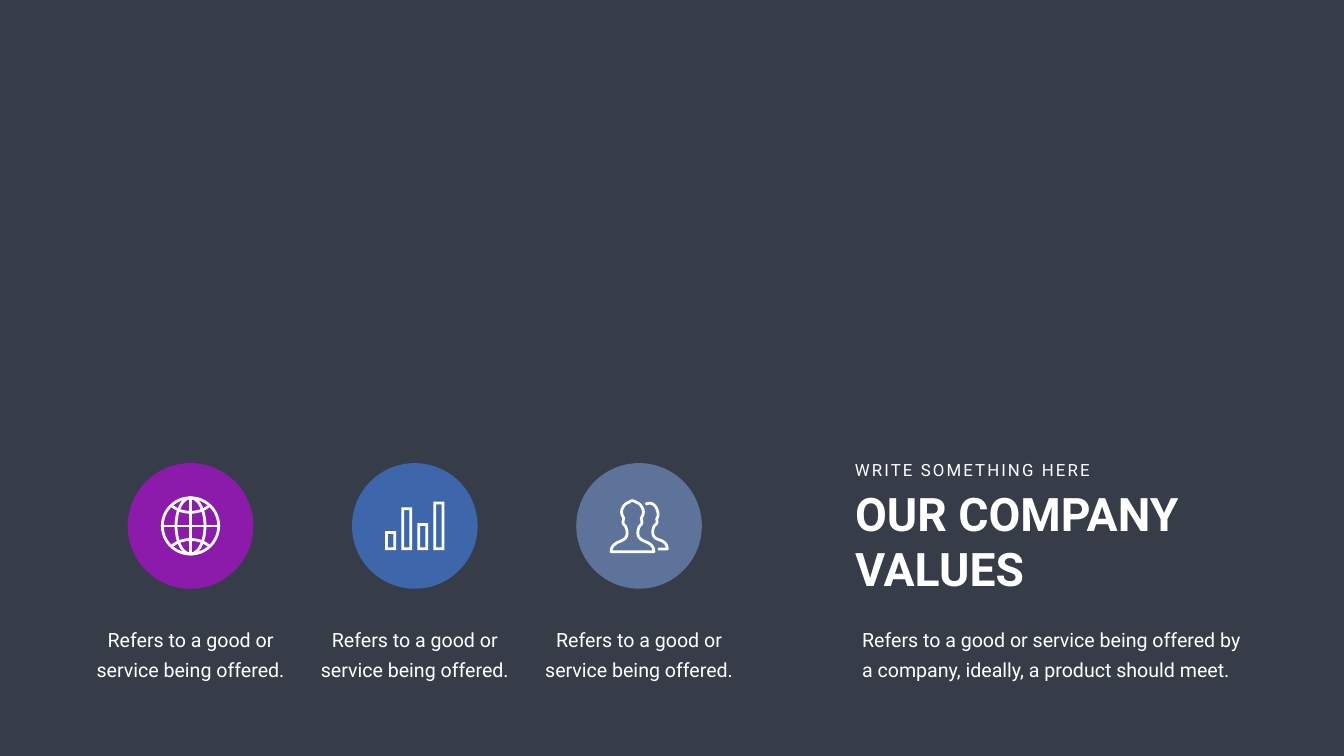
from lxml import etree
from pptx import Presentation
from pptx import util as u
from pptx.dml.color import RGBColor
from pptx.enum import shapes, text
from pptx.oxml import ns

COLORS = {"background": "363D48", "white": "FFFFFF", "purple": "8C1BAB",
          "blue": "3D67AA", "slate": "5D739A"}
STROKE = 0.14
DISC = 6.33
BODY_TOP = 30.99
BODY_HEIGHT = 3.53
PITCH = 11.3
VALUE_TEXT = "Refers to a good or service being offered."
BODY_FONT = {"size": u.Pt(28), "bold": False}
BODY_PARAGRAPH = {"line_spacing": u.Pt(43)}
BODY_FRAME = {"margin_left": u.Cm(0.61), "margin_right": u.Cm(0.61),
              "margin_top": u.Cm(0.3), "margin_bottom": u.Cm(0.3)}
FRONT_HALF = [
    (-1.08, 1.3), (-1.08, 0.95), (-0.77, 0.84), (-0.58, 0.76),
    (-0.52, 0.72), (-0.27, 0.65), (-0.27, 0.37),
    (-0.27, 0.1), (-0.37, -0.01), (-0.43, -0.06),
    (-0.47, -0.11), (-0.5, -0.19), (-0.44, -0.39),
    (-0.52, -0.52), (-0.6, -0.7), (-0.51, -0.88),
    (-0.42, -1.08), (-0.32, -1.14), (-0.19, -1.19),
    (-0.13, -1.23), (-0.06, -1.27), (0, -1.27)]
BACK_PERSON = [
    (0.32, -1.09), (0.39, -1.13), (0.47, -1.14), (0.55, -1.14),
    (0.62, -1.14), (0.67, -1.12), (0.72, -1.08),
    (0.77, -1.05), (0.84, -0.99), (0.89, -0.86),
    (0.98, -0.67), (0.98, -0.47), (0.89, -0.36),
    (0.93, -0.19), (0.9, -0.11), (0.85, -0.08),
    (0.77, -0.01), (0.69, 0.09), (0.69, 0.32),
    (0.69, 0.6), (0.9, 0.65), (0.99, 0.69),
    (1.23, 0.77), (1.42, 0.88), (1.42, 1.16)]


def color(name):
    """Return the named colour."""
    return RGBColor.from_string(COLORS[name])


def apply(target, values):
    """Set each attribute named in values."""
    for name, value in values.items():
        setattr(target, name, value)


def place(shape, left, top, width, height):
    """Move and size a shape, in centimetres."""
    apply(shape, {"left": u.Cm(left), "top": u.Cm(top),
                  "width": u.Cm(width), "height": u.Cm(height)})


def write(shape, words, font, paragraph_format=None, frame_format=None):
    """Write one paragraph and format it."""
    frame = shape.text_frame
    apply(frame, {"word_wrap": True, "vertical_anchor": text.MSO_ANCHOR.TOP,
                  "auto_size": text.MSO_AUTO_SIZE.NONE, **(frame_format or {})})
    paragraph = frame.paragraphs[0]
    apply(paragraph, {"alignment": text.PP_ALIGN.LEFT, **(paragraph_format or {})})
    run = paragraph.add_run()
    run.text = words
    apply(run.font, {"name": "Roboto", **font})
    run.font.color.rgb = color("white")
    return run


def add_text(slide, box, words, font, paragraph_format=None, frame_format=None):
    """Add a text box and write in it."""
    shape = slide.shapes.add_textbox(*(u.Cm(value) for value in box))
    return write(shape, words, font, paragraph_format, frame_format)


def outline(shape):
    """Give a shape a white outline and no fill."""
    shape.shadow.inherit = False
    shape.fill.background()
    shape.line.color.rgb = color("white")
    shape.line.width = u.Cm(STROKE)


def paint(shape, name):
    """Give a shape a plain fill and no outline."""
    shape.shadow.inherit = False
    shape.fill.solid()
    shape.fill.fore_color.rgb = color(name)
    shape.line.fill.background()


def add_line(group, *ends):
    """Add a straight white line."""
    line = group.shapes.add_connector(
        shapes.MSO_CONNECTOR.STRAIGHT, *(u.Cm(value) for value in ends))
    line.line.color.rgb = color("white")
    line.line.width = u.Cm(STROKE)
    etree.SubElement(line._element.spPr, ns.qn("a:effectLst"))


def sample(controls, steps=8):
    """Return points along a chain of cubic curves."""
    points = [controls[0]]
    for first in range(0, len(controls) - 1, 3):
        curve = controls[first:first + 4]
        for step in range(1, steps + 1):
            t = step / steps
            weights = ((1 - t) ** 3, 3 * t * (1 - t) ** 2, 3 * t * t * (1 - t), t ** 3)
            points.append(tuple(sum(weight * point[axis] for weight, point
                                    in zip(weights, curve)) for axis in (0, 1)))
    return points


def add_path(group, x, y, contours, close=False):
    """Add one freeform whose contours are relative to x, y."""
    builder = None
    for contour in contours:
        points = [(u.Cm(x + dx), u.Cm(y + dy)) for dx, dy in contour]
        if builder is None:
            builder = group.shapes.build_freeform(*points[0])
        else:
            builder.move_to(*points[0])
        builder.add_line_segments(points[1:], close=close)
    return builder.convert_to_shape()


def globe_icon(group, x, y):
    """Draw a globe centred on x, y."""
    radius = 1.42
    for half in (radius, 0.73):
        outline(group.shapes.add_shape(
            shapes.MSO_SHAPE.OVAL, u.Cm(x - half), u.Cm(y - radius),
            u.Cm(2 * half), u.Cm(2 * radius)))
    add_line(group, x - radius, y, x + radius, y)
    add_line(group, x, y - radius, x, y + radius)
    for side in (-1, 1):
        parallel = [(-0.92, 0.99), (-0.4, 0.58), (0.4, 0.58), (0.92, 0.99)]
        curve = sample([(dx, side * dy) for dx, dy in parallel])
        outline(add_path(group, x, y, [curve]))


def bars_icon(group, x, y):
    """Draw four hollow bars centred on x, y."""
    contours = []
    for index, height in enumerate((0.96, 2.16, 1.36, 2.44)):
        left, bottom = -1.49 + 0.81 * index, 1.22
        for inset in (0, STROKE):
            near, far = left + inset, left + 0.55 - inset
            low, high = bottom - inset, bottom - height + inset
            contours.append([(near, low), (near, high), (far, high), (far, low)])
    paint(add_path(group, x, y, contours, close=True), "white")


def people_icon(group, x, y):
    """Draw two people centred on x, y."""
    half = sample(FRONT_HALF)
    mirrored = [(-dx, dy) for dx, dy in reversed(half[:-1])]
    outline(add_path(group, x - 0.33, y, [half + mirrored], close=True))
    outline(add_path(group, x, y, [sample(BACK_PERSON) + [(0.95, 1.16)]]))


def value_column(slide, left, top, width, fill, draw_icon):
    """Place a disc with its icon above a centred caption."""
    group = slide.shapes.add_group_shape()
    x, y = left + width / 2, top + DISC / 2
    disc = group.shapes.add_shape(
        shapes.MSO_SHAPE.OVAL, u.Cm(x - DISC / 2), u.Cm(top), u.Cm(DISC), u.Cm(DISC))
    paint(disc, fill)
    draw_icon(group, x, y)
    add_text(slide, (left, BODY_TOP, width, BODY_HEIGHT), VALUE_TEXT, BODY_FONT,
             {**BODY_PARAGRAPH, "alignment": text.PP_ALIGN.CENTER}, BODY_FRAME)


def heading_block(slide, left, top):
    """Place the overline, the title and the introduction."""
    title = slide.shapes.title
    place(title, left, top + 1.29, 17.93, 5.89)
    write(title, "OUR COMPANY VALUES", {"size": u.Pt(66), "bold": True})
    overline = add_text(slide, (left, top, 12.7, 1.27), "WRITE SOMETHING HERE",
                        {"size": u.Pt(24)}, frame_format={"word_wrap": False})
    overline.font._element.set("spc", "300")
    add_text(slide, (left, BODY_TOP, 20.68, BODY_HEIGHT),
             "Refers to a good or service being offered by a company, "
             "ideally, a product should meet.",
             BODY_FONT, BODY_PARAGRAPH, BODY_FRAME)


def main():
    """Build and save the slide."""
    presentation = Presentation()
    apply(presentation, {"slide_width": u.Cm(67.72), "slide_height": u.Cm(38.1)})
    slide = presentation.slides.add_slide(presentation.slide_layouts[5])
    slide.background.fill.solid()
    slide.background.fill.fore_color.rgb = color("background")
    heading_block(slide, 42.83, 23.04)
    columns = (("purple", globe_icon), ("blue", bars_icon), ("slate", people_icon))
    for index, (fill, draw_icon) in enumerate(columns):
        value_column(slide, 4.2 + PITCH * index, 23.34, 10.8, fill, draw_icon)
    presentation.save("out.pptx")


if __name__ == "__main__":
    main()
